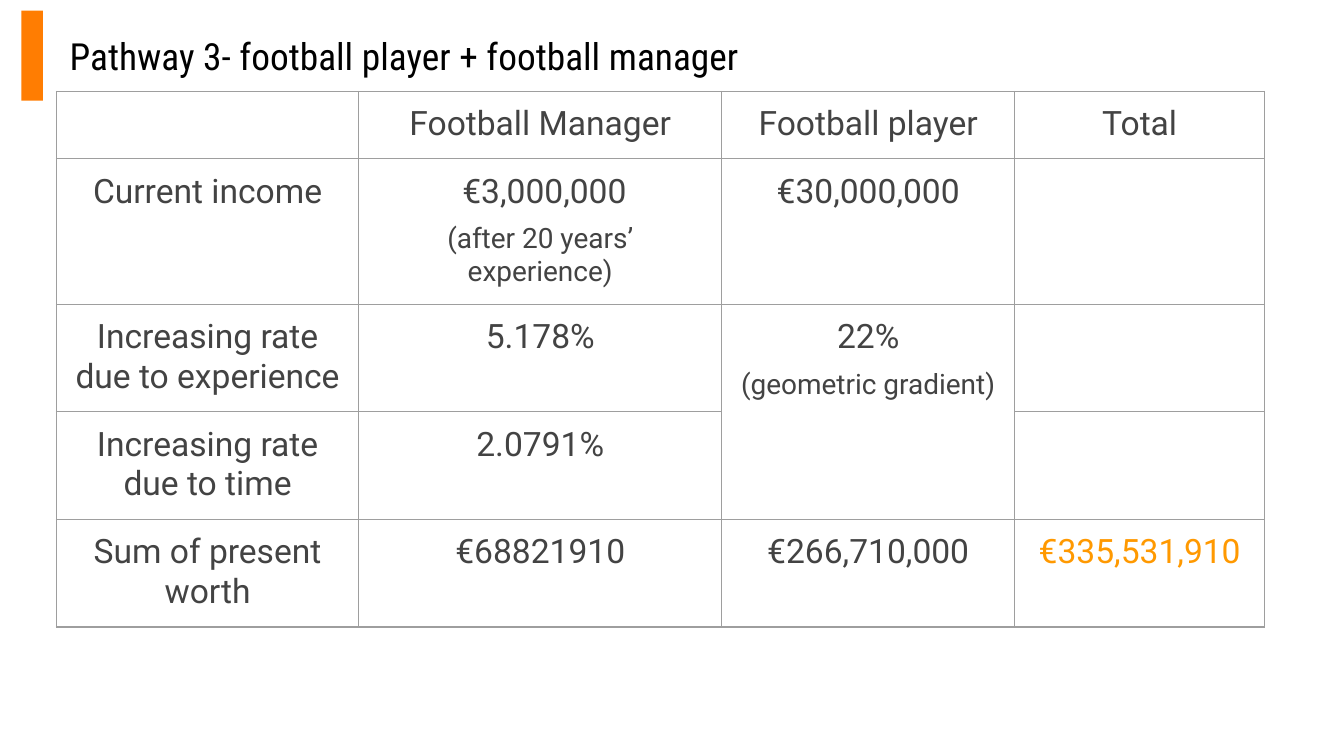
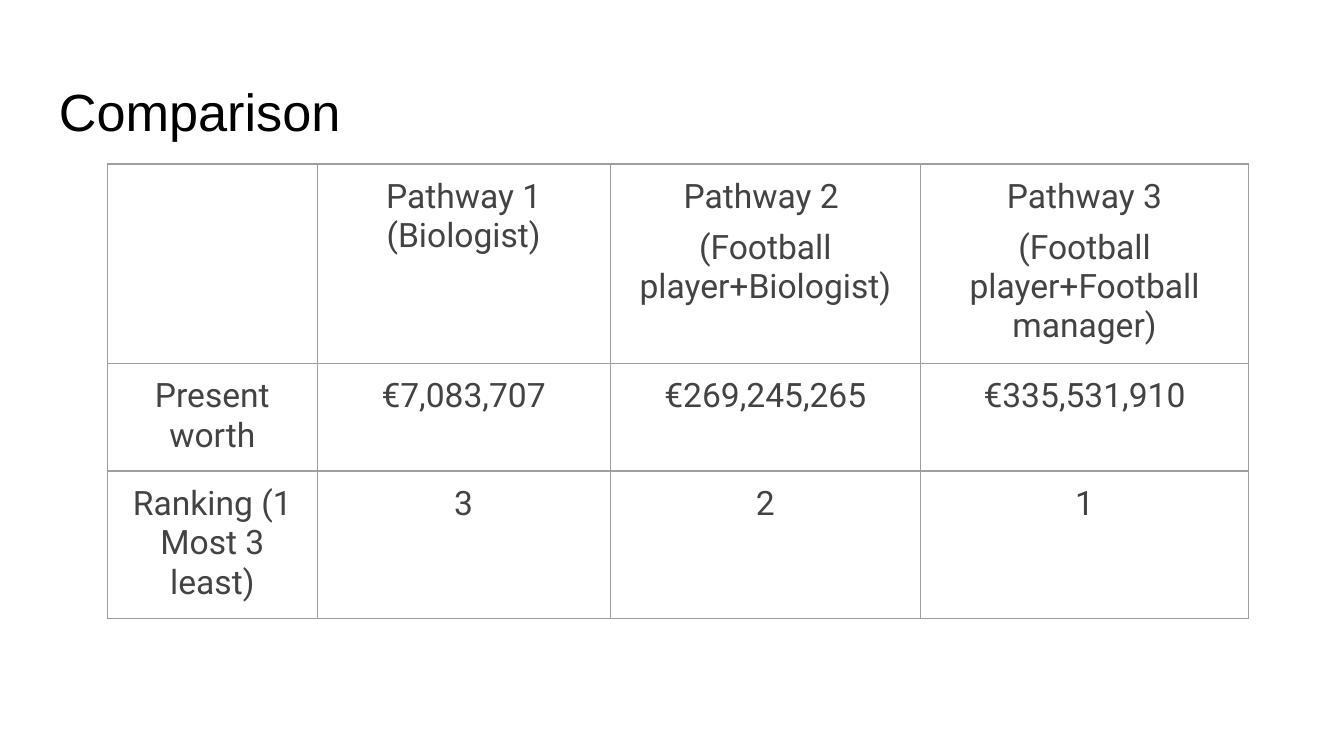
from pptx import Presentation
from pptx.dml.color import RGBColor
from pptx.enum.shapes import MSO_SHAPE as Shape
from pptx.enum.text import PP_ALIGN as Align
from pptx.oxml.ns import qn
from pptx.util import Inches, Pt
from lxml.etree import SubElement

# Shared style
BODY_FONT = "Roboto"
BODY_COLOR = "434343"
BORDER_COLOR = "9E9E9E"
ACCENT = "FF7D02"
TOTAL_COLOR = "FF9900"
TITLE_COLOR = "000000"
BODY_SIZE, NOTE_SIZE = 18, 15
GRID_FRAME = 3.28


def color(value):
    return RGBColor.from_string(value)


def style_font(para, name, size, value):
    para.font.name = name
    para.font.size = Pt(size)
    para.font.color.rgb = color(value)


def add_page(deck):
    page = deck.slides.add_slide(deck.slide_layouts[6])
    page.background.fill.solid()
    page.background.fill.fore_color.rgb = color("FFFFFF")
    return page


def add_title(page, text, place, font, size, inset):
    box = page.shapes.add_textbox(*map(Inches, place))
    frame = box.text_frame
    frame.word_wrap = True
    frame.margin_top = frame.margin_bottom = Inches(inset)
    para = frame.paragraphs[0]
    para.text = text
    style_font(para, font, size, TITLE_COLOR)


def add_accent_bar(page, place):
    bar = page.shapes.add_shape(Shape.RECTANGLE, *map(Inches, place))
    bar.shadow.inherit = False
    bar.fill.solid()
    bar.fill.fore_color.rgb = color(ACCENT)
    bar.line.fill.background()


def set_borders(cell):
    properties = cell._tc.get_or_add_tcPr()
    for position, edge in enumerate(("a:lnL", "a:lnR", "a:lnT", "a:lnB")):
        line = SubElement(properties, qn(edge), w=str(Pt(0.75)))
        fill = SubElement(line, qn("a:solidFill"))
        SubElement(fill, qn("a:srgbClr"), val=BORDER_COLOR)
        properties.insert(position, line)


def fill_cell(cell, text, value):
    """Write one paragraph per line; a line in another size is a (line, size) pair."""
    cell.margin_left = cell.margin_right = Inches(0.1)
    cell.margin_top = cell.margin_bottom = Inches(0.1)
    cell.fill.background()
    set_borders(cell)
    if not text:
        return
    lines = text if isinstance(text, list) else [text]
    frame = cell.text_frame
    for index, entry in enumerate(lines):
        line, size = entry if isinstance(entry, tuple) else (entry, BODY_SIZE)
        para = frame.add_paragraph() if index else frame.paragraphs[0]
        para.text = line
        para.alignment = Align.CENTER
        para.space_before = Pt(6)
        style_font(para, BODY_FONT, size, value)


def add_grid(page, left, top, widths, heights, rows, highlights=()):
    place = (left, top, GRID_FRAME, GRID_FRAME)
    holder = page.shapes.add_table(len(rows), len(widths), *map(Inches, place))
    table = holder.table
    table.first_row = table.horz_banding = False
    for column, width in zip(table.columns, widths):
        column.width = Inches(width)
    for row, height in zip(table.rows, heights):
        row.height = Inches(height)
    # Rows grow from their minimum heights to fit the text
    holder.width = holder.height = Inches(GRID_FRAME)
    for r, texts in enumerate(rows):
        for c, text in enumerate(texts):
            value = TOTAL_COLOR if (r, c) in highlights else BODY_COLOR
            fill_cell(table.cell(r, c), text, value)
    return table


def build_pathway(deck):
    page = add_page(deck)
    add_accent_bar(page, (0.16, 0.08, 0.16, 0.67))
    add_title(page, "Pathway 3- football player + football manager",
              (0.42, 0.2, 7.13, 0.44), "Roboto Condensed", 20, 0.05)
    rows = [
        ["", "Football Manager", "Football player", "Total"],
        ["Current income",
         [" €3,000,000", ("(after 20 years’ experience)", NOTE_SIZE)],
         "€30,000,000", ""],
        ["Increasing rate due to experience", "5.178%",
         ["22%", ("(geometric gradient)", NOTE_SIZE)], ""],
        ["Increasing rate due to time", "2.0791%", "", ""],
        ["Sum of present worth", "€68821910", "€266,710,000", "€335,531,910"],
    ]
    table = add_grid(page, 0.42, 0.68, (2.25, 2.7, 2.18, 1.86),
                     (0.34, 0.69, 0.69, 0.79, 0.56), rows, highlights={(4, 3)})
    # The player's rate covers both experience and time
    table.cell(2, 2).merge(table.cell(3, 2))


def build_comparison(deck):
    page = add_page(deck)
    add_title(page, "Comparison", (0.34, 0.49, 9.32, 0.63), "Arial", 28, 0.1)
    rows = [
        ["", "Pathway 1 (Biologist)",
         ["Pathway 2 ", "(Football player+Biologist)"],
         ["Pathway 3", "(Football player+Football manager)"]],
        ["Present worth", "€7,083,707", "€269,245,265", "€335,531,910"],
        ["Ranking (1 Most 3 least)", "3", "2", "1"],
    ]
    add_grid(page, 0.8, 1.22, (1.56, 2.18, 2.31, 2.44), [0.42] * 3, rows)


def main():
    deck = Presentation()
    deck.slide_width = Inches(10)
    deck.slide_height = Inches(10 * 9 / 16)
    build_pathway(deck)
    build_comparison(deck)
    deck.save("out.pptx")


if __name__ == "__main__":
    main()
